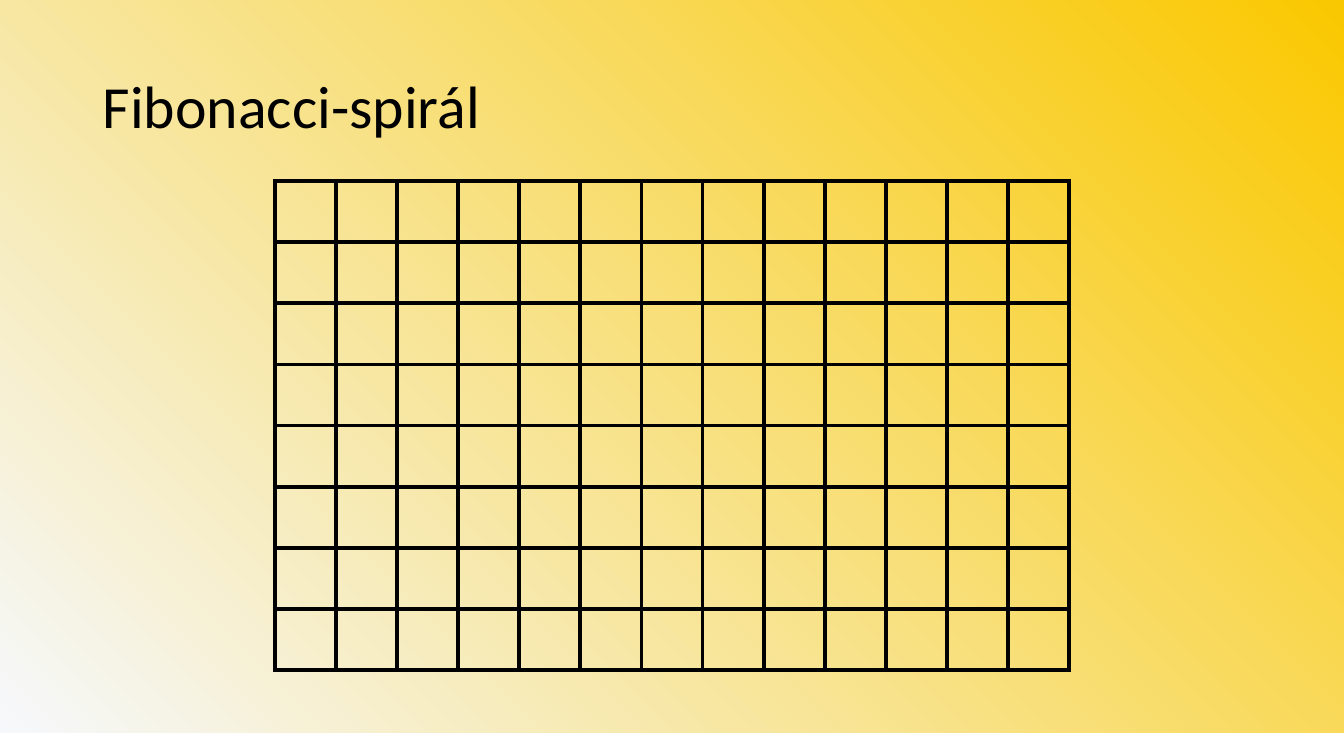
from dataclasses import dataclass

from lxml.etree import SubElement
from pptx import Presentation
from pptx.dml.color import RGBColor
from pptx.enum.text import MSO_ANCHOR as Anchor
from pptx.oxml.ns import qn
from pptx.slide import Slide
from pptx.table import _Cell as Cell
from pptx.util import Emu, Pt

EMU_PER_PX = 9000
SLIDE_W, SLIDE_H = 1320, 720
BLACK = "000000"
PALE = "F6F8FC"
GOLD = "FAC800"


@dataclass(frozen=True)
class Grid:
    top: int
    square: int
    rows: int
    cols: int
    line_pt: float


SPIRAL_GRID = Grid(top=178, square=60, rows=8, cols=13, line_pt=3)


def px(n: int) -> Emu:
    return Emu(n * EMU_PER_PX)


def rgb(color: str) -> RGBColor:
    return RGBColor.from_string(color)


def paint_background(slide: Slide, inner: str, outer: str) -> None:
    """Radial gradient that spreads from the bottom left corner."""
    fill = slide.background.fill
    fill.gradient()
    for stop, color in zip(fill.gradient_stops, (inner, outer)):
        stop.color.rgb = rgb(color)
    grad = slide.element.find(".//" + qn("a:gradFill"))
    grad.remove(grad.find(qn("a:lin")))
    circle = SubElement(grad, qn("a:path"), {"path": "circle"})
    SubElement(circle, qn("a:fillToRect"), t="100000", r="100000")


def add_title(slide: Slide, text: str) -> None:
    sp = slide.shapes.add_textbox(px(91), px(38), px(1139), px(139))
    tf = sp.text_frame
    tf.word_wrap = True
    tf.vertical_anchor = Anchor.MIDDLE
    tf.text = text
    p = tf.paragraphs[0]
    p.line_spacing = 0.9
    font = p.runs[0].font
    font.name = "Calibri"
    font.size = Pt(41.6)
    font.color.rgb = rgb(BLACK)


def add_borders(cell: Cell, color: str, width: float) -> None:
    props = cell._tc.get_or_add_tcPr()
    for side in ("lnL", "lnR", "lnT", "lnB"):
        line = SubElement(props, qn(f"a:{side}"), w=str(Pt(width)))
        solid = SubElement(line, qn("a:solidFill"))
        SubElement(solid, qn("a:srgbClr"), val=color)


def add_grid(slide: Slide, grid: Grid) -> None:
    """Table of empty squares, centred across the slide."""
    width, height = grid.cols * grid.square, grid.rows * grid.square
    left = (SLIDE_W - width) // 2
    table = slide.shapes.add_table(grid.rows, grid.cols, px(left), px(grid.top),
                                   px(width), px(height)).table
    table.first_row = table.horz_banding = False
    for col in table.columns:
        col.width = px(grid.square)
    for row in table.rows:
        row.height = px(grid.square)
    for cell in table.iter_cells():
        add_borders(cell, BLACK, grid.line_pt)
        cell.fill.background()


def main() -> None:
    prs = Presentation()
    prs.slide_width, prs.slide_height = px(SLIDE_W), px(SLIDE_H)
    slide = prs.slides.add_slide(prs.slide_layouts[6])
    paint_background(slide, PALE, GOLD)
    add_title(slide, "Fibonacci-spirál")
    add_grid(slide, SPIRAL_GRID)
    prs.save("out.pptx")


if __name__ == "__main__":
    main()
